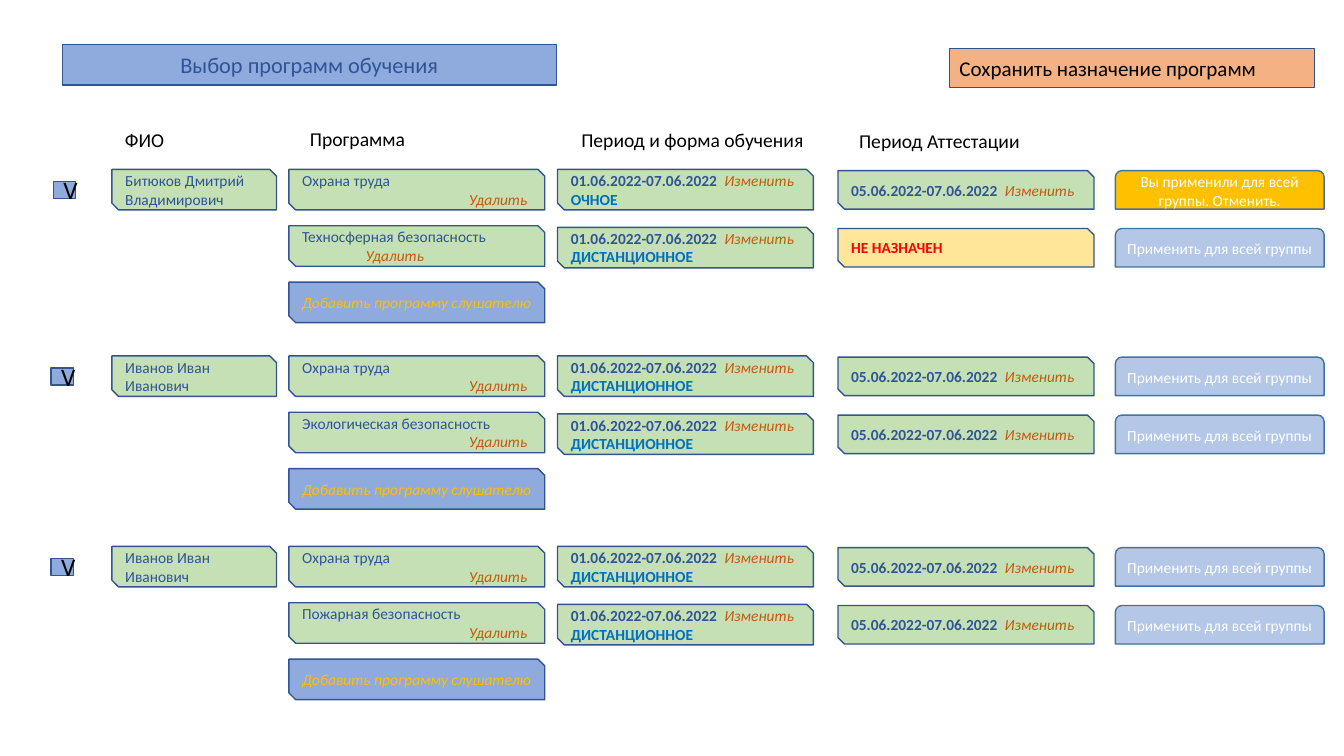
from lxml import etree
from pptx import Presentation
from pptx import util as u
from pptx.dml.color import RGBColor
from pptx.enum import shapes, text
from pptx.oxml.ns import qn

HUES = {
    "navy": "2F5597", "edge": "325491", "rim": "43739E", "blue": "8FAADC",
    "pale": "B4C7E7", "green": "C5E0B4", "sand": "FFE699", "gold": "FFC000",
    "peach": "F4B183", "rust": "C55A11", "sky": "0070C0", "red": "FF0000",
    "black": "000000", "white": "FFFFFF",
}
SNIP = shapes.MSO_SHAPE.SNIP_2_DIAG_RECTANGLE
ROUND = shapes.MSO_SHAPE.ROUND_2_SAME_RECTANGLE
RECT = shapes.MSO_SHAPE.RECTANGLE
LEFT, MID, RIGHT = text.PP_ALIGN.LEFT, text.PP_ALIGN.CENTER, text.PP_ALIGN.RIGHT


def write(frame, lines, size=11, align=LEFT):
    for i, runs in enumerate(lines):
        para = frame.paragraphs[0] if i == 0 else frame.add_paragraph()
        para.alignment = align
        for words, hue, style in runs:
            run = para.add_run()
            run.text = words
            font = run.font
            font.name = "Calibri"
            font.size = u.Pt(size)
            font.bold = style == "bold"
            font.italic = style == "italic"
            font.color.rgb = RGBColor.from_string(HUES[hue])


def box(kind, place, fill, lines, size=11, align=LEFT, edge="edge"):
    if kind is None:
        shape = slide.shapes.title
        shape.left, shape.top, shape.width, shape.height = map(u.Cm, place)
        geom = etree.SubElement(shape._element.spPr, qn("a:prstGeom"), prst="snip2DiagRect")
        etree.SubElement(geom, qn("a:avLst"))
    else:
        shape = slide.shapes.add_shape(kind, *map(u.Cm, place))
        shape.shadow.inherit = False
    shape.fill.solid()
    shape.fill.fore_color.rgb = RGBColor.from_string(HUES[fill])
    shape.line.color.rgb = RGBColor.from_string(HUES[edge])
    shape.line.width = u.Pt(1)
    frame = shape.text_frame
    frame.word_wrap = True
    frame.auto_size = text.MSO_AUTO_SIZE.NONE
    frame.vertical_anchor = text.MSO_ANCHOR.MIDDLE
    write(frame, lines, size, align)
    return frame


deck = Presentation()
deck.slide_width, deck.slide_height = u.Cm(33.87), u.Cm(19.05)
slide = deck.slides.add_slide(deck.slide_layouts[5])

box(None, (1.57, 1.12, 12.45, 1.02), "blue",
    [[("Выбор программ обучения", "navy", "")]], 16, MID)
box(RECT, (23.93, 1.22, 9.2, 0.99), "peach",
    [[("Сохранить назначение программ", "black", "")]], 15)

heads = [
    ("ФИО", 2.9, 3.11, 1.5), ("Программа", 7.56, 3.07, 2.95),
    ("Период и форма обучения", 14.4, 3.11, 6.17),
    ("Период Аттестации", 21.4, 3.12, 4.6),
]
for name, x, y, wide in heads:
    frame = slide.shapes.add_textbox(u.Cm(x), u.Cm(y), u.Cm(wide), u.Cm(0.86)).text_frame
    frame.word_wrap = False
    write(frame, [[(name, "black", "")]], 14)

AWAY, NEAR = "ДИСТАНЦИОННОЕ", "ОЧНОЕ"
APPLY = "Применить для всей группы"
UNDO = "Вы применили для всей группы. Отменить."
people = [
    (4.27, 1.35, "Битюков Дмитрий Владимирович",
     [("Охрана труда", NEAR, True, UNDO), ("Техносферная безопасность", AWAY, False, APPLY)]),
    (8.97, 1.29, "Иванов Иван Иванович",
     [("Охрана труда", AWAY, True, APPLY), ("Экологическая безопасность", AWAY, True, APPLY)]),
    (13.77, 1.29, "Иванов Иван Иванович",
     [("Охрана труда", AWAY, True, APPLY), ("Пожарная безопасность", AWAY, True, APPLY)]),
]
edit = ("Изменить", "rust", "italic")
for top, tick, person, plans in people:
    box(RECT, (tick, top + 0.3, 0.56, 0.43), "blue", [[("V", "black", "")]], 18, MID)
    box(SNIP, (2.82, top, 4.15, 1.02), "green", [[(person, "navy", "")]])
    for i, (plan, form, fixed, act) in enumerate(plans):
        frame = box(SNIP, (7.28, top + 1.42 * i, 6.45, 1.02), "green",
                    [[(plan, "navy", "")], [("Удалить", "rust", "italic")]])
        frame.margin_right = u.Cm(0.35)
        last = frame.paragraphs[1]
        if fixed:
            last.alignment = RIGHT
        else:
            last._p.get_or_add_pPr().set("marL", str(u.Cm(1.6)))

        y = top + 1.46 * i
        box(SNIP, (14.05, y, 6.45, 1.02), "green",
            [[("01.06.2022-07.06.2022  ", "navy", "bold"), edit], [(form, "sky", "bold")]])
        exam = [("05.06.2022-07.06.2022  ", "navy", "bold"), edit]
        if not fixed:
            exam = [("НЕ НАЗНАЧЕН", "red", "bold")]
        box(SNIP, (21.12, y + 0.03, 6.45, 0.97), "green" if fixed else "sand", [exam])
        box(ROUND, (28.11, y + 0.03, 5.26, 0.97), "gold" if act == UNDO else "pale",
            [[(act, "white", "")]], align=MID, edge="rim")
    box(SNIP, (7.28, top + 2.84, 6.45, 1.02), "blue",
        [[("Добавить программу слушателю", "gold", "italic")]])

deck.save("out.pptx")
